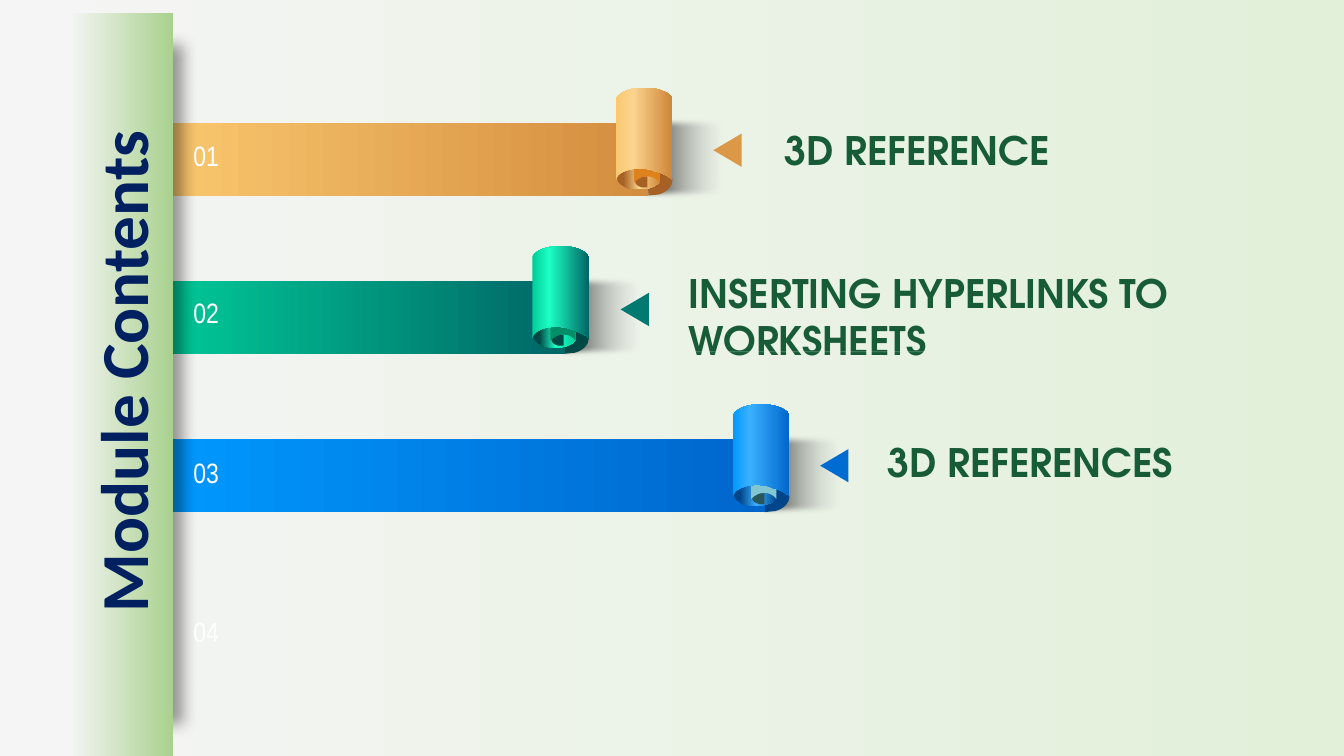
"""Build the Module Contents slide with three unrolling ribbons."""
from copy import deepcopy

from lxml.etree import SubElement
from pptx import Presentation
from pptx.dml.color import RGBColor
from pptx.enum.shapes import MSO_CONNECTOR, MSO_SHAPE
from pptx.enum.text import MSO_ANCHOR, PP_ALIGN
from pptx.oxml.ns import qn
from pptx.util import Inches, Pt


def paint(fill, *stops):
    if len(stops) == 1:
        fill.solid()
        fill.fore_color.rgb = RGBColor.from_string(stops[0])
        return
    fill.gradient()
    fill.gradient_angle = 0
    first = fill.gradient_stops[0]._gs
    for _ in stops[2:]:
        first.getparent().append(deepcopy(first))
    for stop, (place, tone) in zip(fill.gradient_stops, stops):
        stop.position = place / 100
        stop.color.rgb = RGBColor.from_string(tone)


def write(text, box, shape=None, font="Calibri", size=20, color="FFFFFF",
          bold=False, align=PP_ALIGN.LEFT, anchor=MSO_ANCHOR.TOP):
    spot = [Inches(v) for v in box]
    shape = shape or slide.shapes.add_textbox(*spot)
    shape.left, shape.top, shape.width, shape.height = spot
    frame = shape.text_frame
    frame.word_wrap = True
    frame.vertical_anchor = anchor
    para = frame.paragraphs[0]
    para.alignment = align
    run = para.add_run()
    run.text = text
    run.font.name, run.font.size, run.font.bold = font, Pt(size), bold
    paint(run.font.fill, color)


deck = Presentation()
deck.slide_width, deck.slide_height = Inches(13.33), Inches(7.5)
slide = deck.slides.add_slide(deck.slide_layouts[5])
shapes = slide.shapes
paint(slide.background.fill, (0, "F5F5F5"), (100, "E2F0D9"))

FOLD = [(.56, .57), (.56, .63, .5, .69, .42, .71), (.32, .72), (.32, .41),
        (.42, .42), (.5, .45, .56, .5, .56, .57)]
CURL = [(.19, .58), (.19, .61, .22, .63, .26, .64), (.31, .64), (.31, .53),
        (.26, .53), (.22, .54, .19, .56, .19, .58)]
TONGUE = [(.18, .16), (.22, .09, .39, .09, .43, .16), (.43, .59),
          (.4, .55, .36, .53, .31, .53), (.26, .53, .22, .55, .18, .59)]
ROLL = [(.28, -.35), (.39, -.35, .51, -.32, .56, -.25), (.56, .56),
        (.52, .53, .48, .51, .43, .49), (.39, .48), (.34, .46),
        (.31, .46, .28, .45, .24, .45), (.13, .45, .03, .49, .01, .54),
        (0, .57), (0, -.25), (.05, -.32, .16, -.35, .28, -.35)]

EDGE, TOP, STEP = 1.51, 1.22, 1.57
ROWS = [
    (6.11, "FAC86F", "D48D3E", "FBD48F", "CE8537", "A76124", "CE8537",
     "A76124", "DD821D", "DB9948", (7.05, 1.35), "3D REFERENCE",
     (7.68, 1.2, 5.3, .57), 2.07),
    (5.28, "00CC99", "006666", "1DFFC4", "006666", "004846", "00CC99",
     "004846", "008E69", "007A70", (6.13, 2.93),
     "INSERTING HYPERLINKS TO WORKSHEETS", (6.73, 2.62, 5.68, 1.04), 3.49),
    (7.27, "0099FF", "0066CC", "3BB0FF", "0066CC", "00458A", "00458A",
     "28585E", "81C6D1", "006CD2", (8.11, 4.48), "3D REFERENCES",
     (8.7, 4.3, 4.28, .57), None),
]

shades = []
for row, (left, start, end, shine, rim, dark, lip, core, tongue, *_) in enumerate(ROWS):
    top = TOP + row * STEP
    ramp = [(0, start), (100, end)]
    bowl = [(14, dark), (52, shine), (100, lip)]
    gloss = [(0, start), (30, shine), (100, rim)]
    parts = [
        (MSO_SHAPE.RECTANGLE, (left + .21, top - .08, .93, .86),
         [(0, "000000"), (100, "E9EBEA")]),
        (None, FOLD, [dark]),
        (MSO_SHAPE.RECTANGLE, (EDGE, top, left + .32 - EDGE, .72), ramp),
        (MSO_SHAPE.OVAL, (left + .01, top + .44, .43, .22), bowl),
        (None, CURL, [core]),
        (None, TONGUE, [tongue]),
        (None, ROLL, gloss),
    ]
    for kind, form, tones in parts:
        if kind:
            part = shapes.add_shape(kind, *[Inches(v) for v in form])
        else:
            dots = [(Inches(left + x), Inches(top + y)) for seg in form
                    for x, y in zip(seg[::2], seg[1::2])]
            pen = shapes.build_freeform(*dots[0])
            pen.add_line_segments(dots[1:], close=True)
            part = pen.convert_to_shape()
            lines = list(part._element.iter(qn("a:lnTo")))
            for seg in form[1:]:
                count = len(seg) // 2
                group, lines = lines[:count], lines[count:]
                if count == 3:
                    owner = group[0].getparent()
                    bend = SubElement(owner, qn("a:cubicBezTo"))
                    group[0].addprevious(bend)
                    for line in group:
                        bend.append(line[0])
                        owner.remove(line)
        paint(part.fill, *tones)
        if form is parts[0][1]:
            shades.append(part)

strip = shapes.add_shape(MSO_SHAPE.RECTANGLE, Inches(1.16), Inches(.45),
                         Inches(.55), Inches(6.72))
paint(strip.fill, "F4F4F4")
panel = shapes.add_shape(MSO_SHAPE.RECTANGLE, Inches(.68), Inches(.13),
                         Inches(1.04), Inches(7.37))
paint(panel.fill, (0, "F5F5F5"), (100, "A9D18E"))

for row in ROWS:
    tone, (x, y) = row[9:11]
    arrow = shapes.add_shape(MSO_SHAPE.ISOSCELES_TRIANGLE, Inches(x),
                             Inches(y), Inches(.33), Inches(.28))
    arrow.rotation = 270
    paint(arrow.fill, tone)

for shape in shapes:
    if not shape.is_placeholder:
        shape.shadow.inherit = False
        shape.line.fill.background()

for shade in shades:
    clear = shade.fill.gradient_stops[1]._gs[0]
    SubElement(clear, qn("a:alpha"), val="0")
    glow = shade._element.spPr.find(qn("a:effectLst"))
    SubElement(glow, qn("a:softEdge"), rad="63500")
cast = SubElement(strip._element.spPr.find(qn("a:effectLst")),
                  qn("a:outerShdw"), blurRad="139700", dist="88900", dir="0")
black = SubElement(cast, qn("a:srgbClr"), val="000000")
SubElement(black, qn("a:alpha"), val="40000")

for num, y in enumerate((1.33, 2.88, 4.47, 6.05), 1):
    write(f"{num:02}", (1.82, y, .55, .44), font="Arial Narrow")

for *_, text, box, y in ROWS:
    write(text, box, font="TeX Gyre Adventor", size=28, color="185C37", bold=True)
    if y:
        rule = shapes.add_connector(MSO_CONNECTOR.STRAIGHT, Inches(box[0]),
                                    Inches(y), Inches(box[0] + 4.1), Inches(y))
        rule.line.width = Pt(.5)
        paint(rule.line.fill, "F2F2F2")
        faint = rule.line.fill.fore_color._xFill[0]
        SubElement(faint, qn("a:alpha"), val="30000")
        SubElement(rule._element.spPr, qn("a:effectLst"))

title = shapes.title
write("Module Contents", (-2.47, 3.23, 7.37, .91), shape=title, size=48,
      color="002060", bold=True, align=PP_ALIGN.CENTER)
title.rotation = 270
shapes._spTree.append(title._element)

deck.save("out.pptx")
